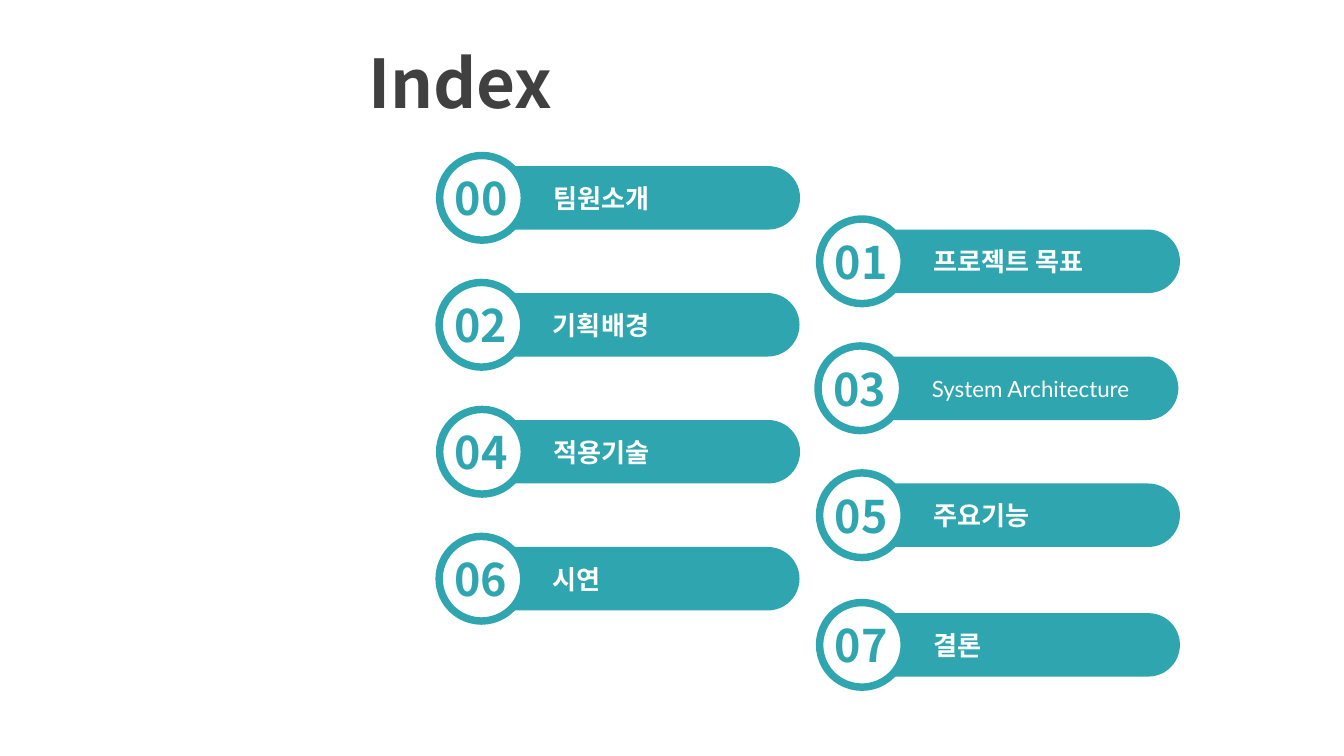
import lxml.etree
import pptx
import pptx.dml.color
import pptx.enum.shapes
import pptx.enum.text
import pptx.oxml.ns
import pptx.util

Cm = pptx.util.Cm
SHAPES = pptx.enum.shapes.MSO_SHAPE
ALIGN = pptx.enum.text.PP_ALIGN

COLORS = {"teal": "2FA6AF", "white": "FFFFFF", "title": "404040"}
KOREAN_FONT = "Noto Sans CJK KR"
LATIN_FONT = "Lato"

# Entries alternate between two columns, each half a row lower (cm)
COLUMN_LEFTS = (8.31, 15.49)
FIRST_CENTER = 3.74
ROW_STEP = 1.2
CIRCLE_SIZE = 1.6
BAR_HEIGHT, BAR_LENGTH, BAR_OFFSET = 1.2, 6.58, 0.23

# Label, font, size, bold, nudge right, nudge down
ENTRIES = [
    ("팀원소개", KOREAN_FONT, 14, True, 0, 0),
    ("프로젝트 목표", KOREAN_FONT, 14, True, 0, 0),
    ("기획배경", KOREAN_FONT, 14, True, -0.01, 0),
    ("System Architecture", LATIN_FONT, 12, False, -0.03, 0),
    ("적용기술", KOREAN_FONT, 14, True, 0, 0),
    ("주요기능", KOREAN_FONT, 14, True, 0, 0),
    ("시연", KOREAN_FONT, 14, True, -0.01, 0),
    ("결론", KOREAN_FONT, 14, True, 0, 0.05),
]


def rgb(name):
    return pptx.dml.color.RGBColor.from_string(COLORS[name])


def add_text(shapes, text, left, center, width, height, size, color,
             font=KOREAN_FONT, bold=True, align=ALIGN.LEFT):
    box = shapes.add_textbox(Cm(left), Cm(center - height / 2), Cm(width), Cm(height))
    frame = box.text_frame
    frame.word_wrap = True
    frame.vertical_anchor = pptx.enum.text.MSO_ANCHOR.MIDDLE
    paragraph = frame.paragraphs[0]
    paragraph.text = text
    paragraph.alignment = align
    paragraph.font.size = pptx.util.Pt(size)
    paragraph.font.bold = bold
    paragraph.font.color.rgb = rgb(color)
    paragraph.font.name = font
    # Korean letters take the East Asian font
    properties = paragraph.font._element
    lxml.etree.SubElement(properties, pptx.oxml.ns.qn("a:ea"), typeface=font)
    return frame


def add_bar(shapes, left, center):
    # An upright tab turned a quarter, so its round end points right
    middle = left + BAR_OFFSET + BAR_LENGTH / 2
    bar = shapes.add_shape(
        SHAPES.ROUND_2_SAME_RECTANGLE,
        Cm(middle - BAR_HEIGHT / 2), Cm(center - BAR_LENGTH / 2),
        Cm(BAR_HEIGHT), Cm(BAR_LENGTH))
    bar.rotation = 90
    bar.adjustments[0] = 0.5
    bar.adjustments[1] = 0
    bar.shadow.inherit = False
    bar.fill.solid()
    bar.fill.fore_color.rgb = rgb("teal")
    bar.line.fill.background()


def add_circle(shapes, left, center):
    circle = shapes.add_shape(
        SHAPES.OVAL, Cm(left), Cm(center - CIRCLE_SIZE / 2),
        Cm(CIRCLE_SIZE), Cm(CIRCLE_SIZE))
    circle.shadow.inherit = False
    circle.fill.solid()
    circle.fill.fore_color.rgb = rgb("white")
    circle.line.color.rgb = rgb("teal")
    circle.line.width = pptx.util.Pt(4)


def add_entry(slide, number, label, font, size, bold, nudge_x, nudge_y):
    left = COLUMN_LEFTS[number % 2] + nudge_x
    center = FIRST_CENTER + number * ROW_STEP + nudge_y
    entry = slide.shapes.add_group_shape().shapes
    add_bar(entry, left, center)
    add_circle(entry, left, center)
    number_frame = add_text(entry, f"{number:02d}", left, center, 1.57, 1.02,
                            24, "teal", align=ALIGN.CENTER)
    number_frame.margin_top = number_frame.margin_bottom = 0
    add_text(entry, label, left + 1.9, center, 5.31, 0.86, size, "white", font, bold)


def main():
    presentation = pptx.Presentation()
    presentation.slide_width = Cm(25.4)
    presentation.slide_height = Cm(14.29)
    slide = presentation.slides.add_slide(presentation.slide_layouts[6])

    # Title
    add_text(slide.shapes, "Index", 6.71, 1.54, 18.69, 1.6, 36, "title")

    # Index entries
    for number, entry in enumerate(ENTRIES):
        add_entry(slide, number, *entry)

    presentation.save("out.pptx")


if __name__ == "__main__":
    main()
